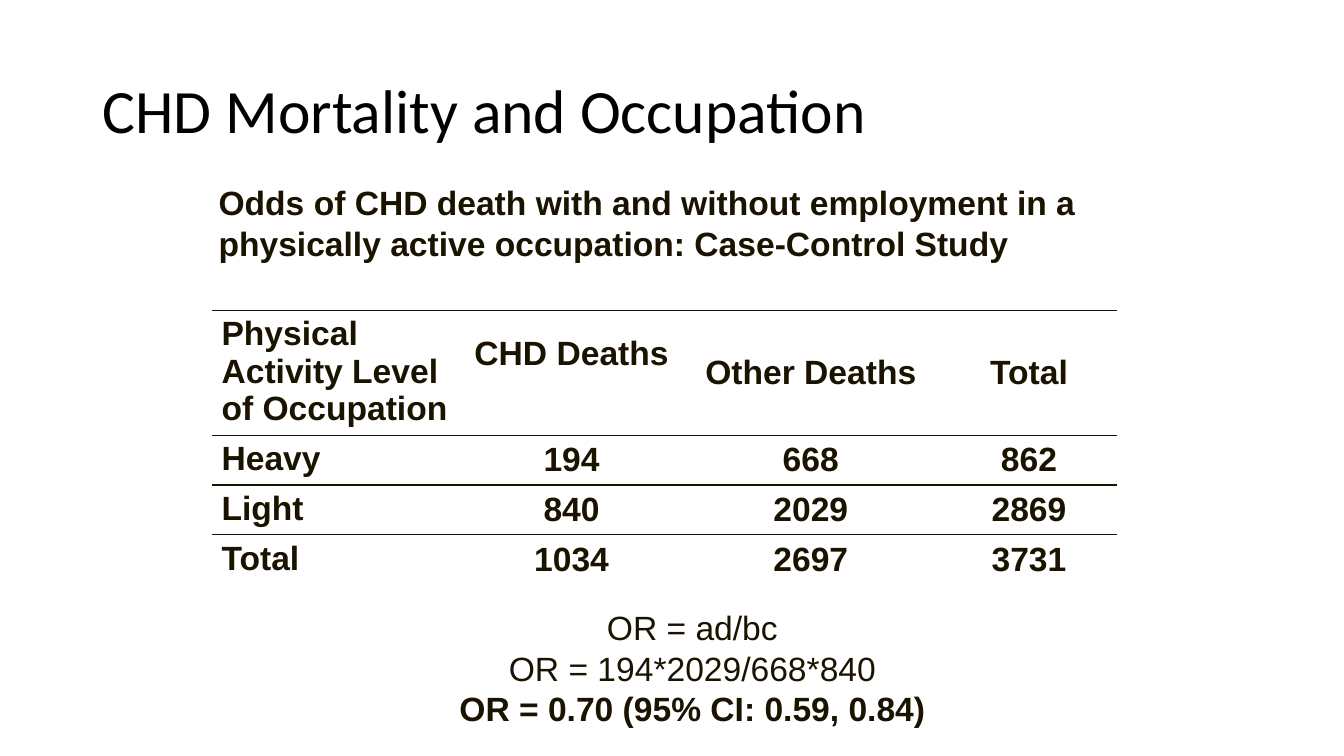
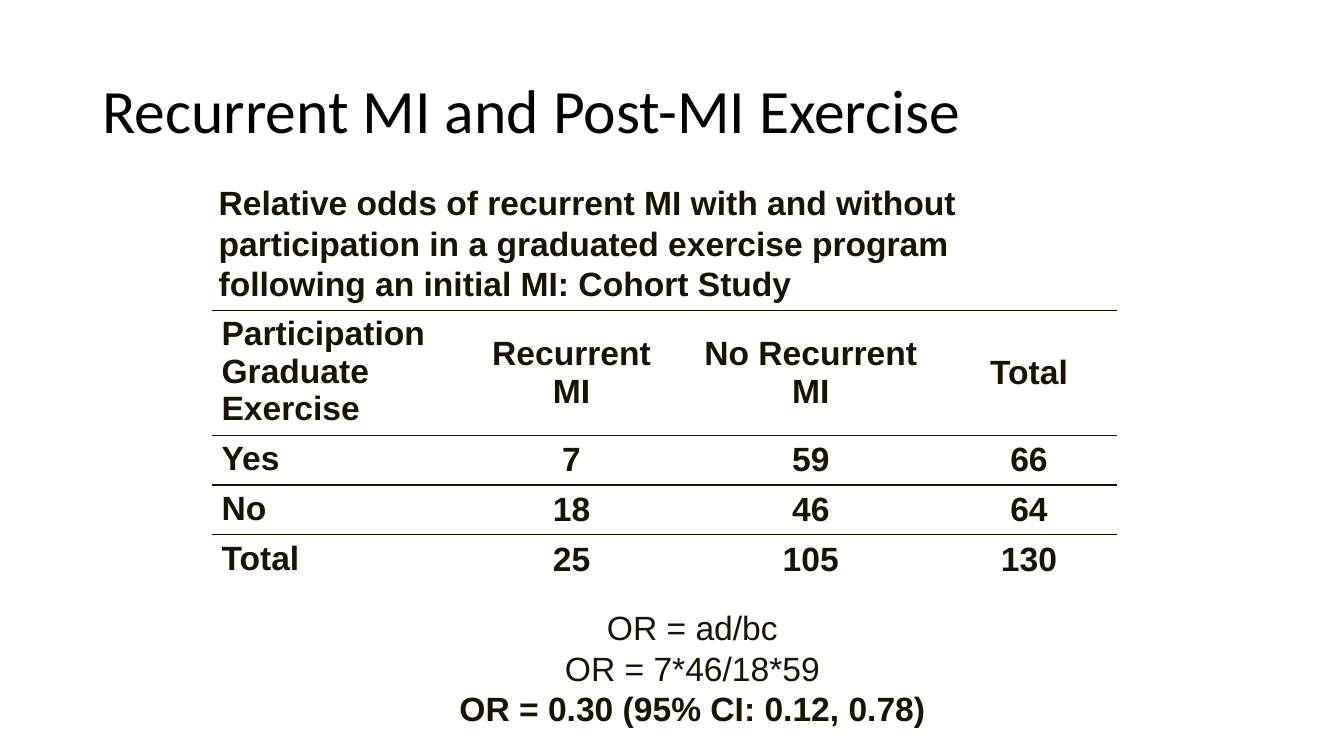
"""Build two slides that work through odds ratios from two-by-two tables."""
import collections

import lxml.etree
import pptx
import pptx.dml.color
import pptx.enum.text
import pptx.oxml.ns
import pptx.util

Cm = pptx.util.Cm
Pt = pptx.util.Pt
ALIGN = pptx.enum.text.PP_ALIGN
ANCHOR = pptx.enum.text.MSO_ANCHOR

INK = pptx.dml.color.RGBColor(0x1A, 0x13, 0x00)
BLACK = pptx.dml.color.RGBColor(0x00, 0x00, 0x00)
TITLE_FONT = "Calibri"
BODY_FONT = "Arial"
TITLE_SIZE = Pt(44)
BODY_SIZE = Pt(24)
BODY_LINE = Pt(29)
TABLE_LINE = Pt(26.8)
RULE_WIDTH = Pt(1)
NO_TABLE_STYLE = "{2D5ABB26-0587-4C30-8999-92F81FD0307C}"

Box = collections.namedtuple("Box", "left top width height")
Study = collections.namedtuple("Study", "title caption rows raised_headers results")

TITLE_BOX = Box(Cm(2.33), Cm(1.01), Cm(29.21), Cm(3.68))
CAPTION_BOX = Box(Cm(5.26), Cm(4.45), Cm(22.66), Cm(3.32))
TABLE_BOX = Box(Cm(5.33), Cm(7.82), Cm(22.83), Cm(6.9))
RESULT_BOX = Box(Cm(9.73), Cm(15.16), Cm(15.44), Cm(3.32))
COLUMN_SHARES = (6.32, 5.51, 6.55, 4.45)
ROW_SHARES = (3.15, 1.25, 1.25, 1.25)
RULED_EDGES = (0, 1, 3)

STUDIES = (
    Study(
        "CHD Mortality and Occupation",
        "Odds of CHD death with and without employment in a physically "
        "active occupation: Case-Control Study",
        (
            ("Physical Activity Level of Occupation", "CHD Deaths", "Other Deaths", "Total"),
            ("Heavy", "194", "668", "862"),
            ("Light", "840", "2029", "2869"),
            ("Total", "1034", "2697", "3731"),
        ),
        ("CHD Deaths",),
        ("OR = ad/bc", "OR = 194*2029/668*840", "OR = 0.70 (95% CI: 0.59, 0.84)"),
    ),
    Study(
        "Recurrent MI and Post-MI Exercise",
        "Relative odds of recurrent MI with and without participation in a "
        "graduated exercise program following an initial MI: Cohort Study",
        (
            ("Participation\nGraduate\nExercise", "Recurrent\nMI", "No Recurrent\nMI", "Total"),
            ("Yes", "7", "59", "66"),
            ("No", "18", "46", "64"),
            ("Total", "25", "105", "130"),
        ),
        (),
        ("OR = ad/bc", "OR = 7*46/18*59", "OR = 0.30 (95% CI: 0.12, 0.78)"),
    ),
)


def add_run(paragraph, text, font_name, size, color, bold=False):
    """Add one formatted run to a paragraph."""
    run = paragraph.add_run()
    run.text = text
    run.font.name = font_name
    run.font.size = size
    run.font.color.rgb = color
    run.font.bold = bold


def write_lines(text_frame, lines, alignment, line_spacing):
    """Write (text, bold) pairs as body paragraphs."""
    for index, (text, bold) in enumerate(lines):
        paragraph = text_frame.add_paragraph() if index else text_frame.paragraphs[0]
        paragraph.alignment = alignment
        paragraph.line_spacing = line_spacing
        add_run(paragraph, text, BODY_FONT, BODY_SIZE, INK, bold)


def place_title(slide, box, text):
    """Move, format and fill the title placeholder."""
    shape = slide.shapes.title
    shape.left, shape.top, shape.width, shape.height = box
    text_frame = shape.text_frame
    text_frame.auto_size = pptx.enum.text.MSO_AUTO_SIZE.NONE
    text_frame.vertical_anchor = ANCHOR.MIDDLE
    paragraph = text_frame.paragraphs[0]
    paragraph.alignment = ALIGN.LEFT
    paragraph.line_spacing = 0.9
    add_run(paragraph, text, TITLE_FONT, TITLE_SIZE, BLACK)


def place_text(slide, box, lines, alignment):
    """Place a wrapping text box of body lines."""
    text_frame = slide.shapes.add_textbox(*box).text_frame
    text_frame.word_wrap = True
    write_lines(text_frame, lines, alignment, BODY_LINE)


def draw_rules(cell, row_index):
    """Rule the horizontal cell edges that the table design calls for."""
    properties = cell._tc.get_or_add_tcPr()
    edges = [("a:lnT", row_index), ("a:lnB", row_index + 1)]
    ruled = [tag for tag, edge in edges if edge in RULED_EDGES]
    for position, tag in enumerate(ruled):
        line = lxml.etree.Element(pptx.oxml.ns.qn(tag), w=str(RULE_WIDTH))
        fill = lxml.etree.SubElement(line, pptx.oxml.ns.qn("a:solidFill"))
        lxml.etree.SubElement(fill, pptx.oxml.ns.qn("a:srgbClr"), val=str(INK))
        properties.insert(position, line)


def place_table(slide, box, rows, raised_headers):
    """Place the ruled table, sharing the box among columns and rows."""
    table = slide.shapes.add_table(len(rows), len(rows[0]), *box).table
    table.first_row = False
    table.horz_banding = False
    table._tbl.tblPr.find(pptx.oxml.ns.qn("a:tableStyleId")).text = NO_TABLE_STYLE
    for column, share in zip(table.columns, COLUMN_SHARES):
        column.width = int(box.width * share / sum(COLUMN_SHARES))
    for row, share in zip(table.rows, ROW_SHARES):
        row.height = int(box.height * share / sum(ROW_SHARES))
    for row_index, values in enumerate(rows):
        for column_index, value in enumerate(values):
            cell = table.cell(row_index, column_index)
            is_label = column_index == 0
            cell.fill.background()
            cell.vertical_anchor = ANCHOR.TOP if is_label else ANCHOR.MIDDLE
            if value in raised_headers:
                cell.margin_bottom = cell.margin_top + TABLE_LINE
            lines = [(text, True) for text in value.split("\n")]
            alignment = ALIGN.LEFT if is_label else ALIGN.CENTER
            write_lines(cell.text_frame, lines, alignment, TABLE_LINE)
            draw_rules(cell, row_index)


def build_study_slide(presentation, study):
    """Add one slide with title, caption, table and odds ratio."""
    slide = presentation.slides.add_slide(presentation.slide_layouts.get_by_name("Title Only"))
    place_title(slide, TITLE_BOX, study.title)
    place_table(slide, TABLE_BOX, study.rows, study.raised_headers)
    results = [(text, text == study.results[-1]) for text in study.results]
    place_text(slide, RESULT_BOX, results, ALIGN.CENTER)
    place_text(slide, CAPTION_BOX, [(study.caption, True)], ALIGN.LEFT)


def main():
    """Build and save the presentation."""
    presentation = pptx.Presentation()
    presentation.slide_width = Cm(33.87)
    presentation.slide_height = Cm(19.05)
    for study in STUDIES:
        build_study_slide(presentation, study)
    presentation.save("out.pptx")


if __name__ == "__main__":
    main()
